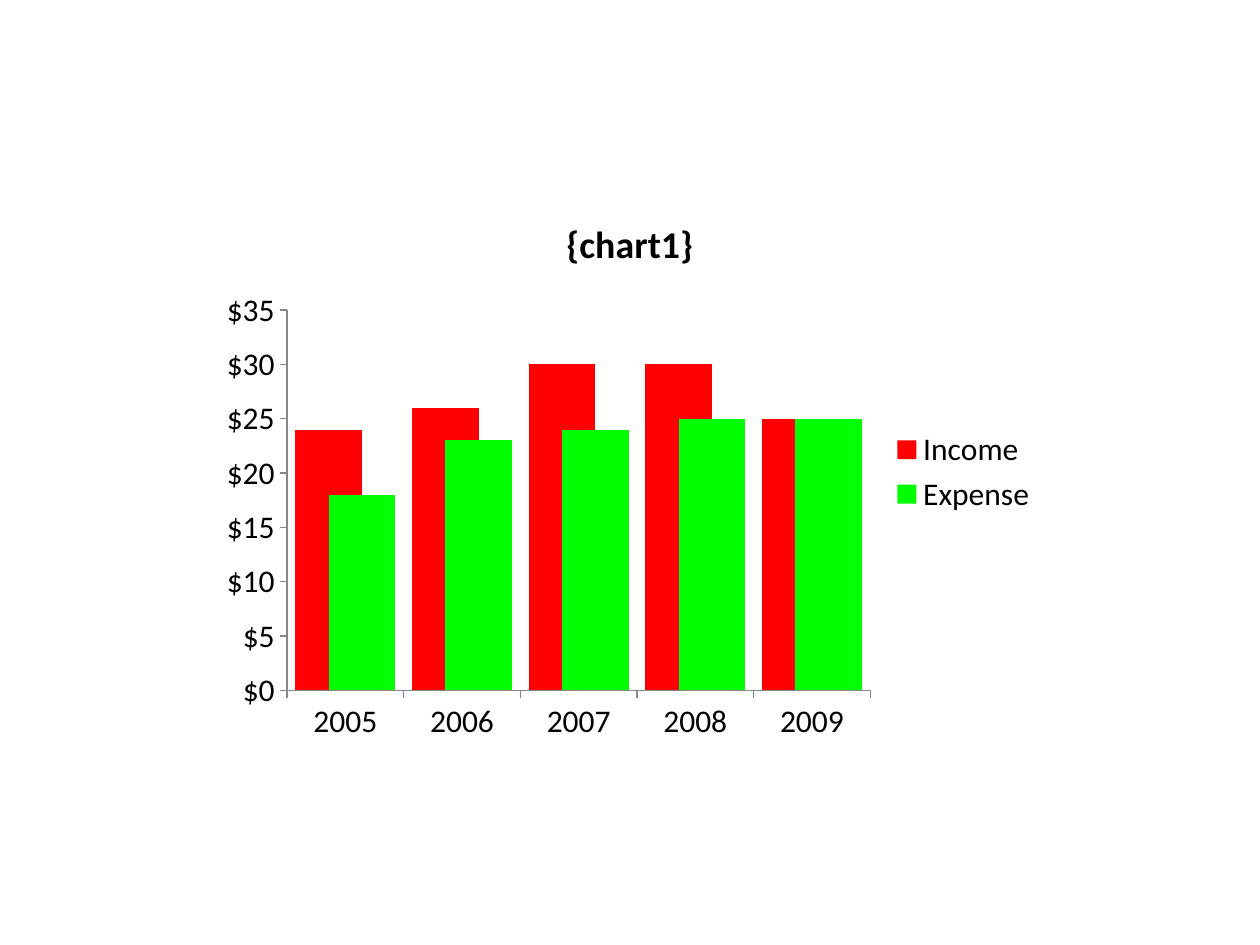
from pptx import Presentation
from pptx.chart.data import CategoryChartData
from pptx.dml.color import RGBColor
from pptx.enum.chart import XL_CHART_TYPE, XL_LEGEND_POSITION, XL_TICK_MARK
from pptx.util import Emu, Pt

COLUMNS = XL_CHART_TYPE.COLUMN_CLUSTERED
LEGEND_RIGHT = XL_LEGEND_POSITION.RIGHT
TICK_OUTSIDE = XL_TICK_MARK.OUTSIDE
TICK_NONE = XL_TICK_MARK.NONE

BLACK = RGBColor(0x00, 0x00, 0x00)
GRAY = RGBColor(0x86, 0x86, 0x86)
RED = RGBColor(0xFF, 0x00, 0x00)
GREEN = RGBColor(0x00, 0xFF, 0x00)
FONT = "Calibri"
EMU_PER_PX = 914400 / 126

YEARS = ["2005", "2006", "2007", "2008", "2009"]
SERIES = [
    ("Income", [24, 26, 30, 30, 25], RED),
    ("Expense", [18, 23, 24, 25, 25], GREEN),
]


def px(n):
    """Turn picture pixels into EMU."""
    return Emu(round(n * EMU_PER_PX))


def style_font(font, size, bold=False):
    """Set the common typeface and colour at the given size."""
    font.name = FONT
    font.size = Pt(size)
    font.bold = bold
    font.color.rgb = BLACK


def style_axis(axis):
    """Give an axis a thin grey line with outside ticks and no grid."""
    axis.has_major_gridlines = False
    axis.major_tick_mark = TICK_OUTSIDE
    axis.minor_tick_mark = TICK_NONE
    axis.format.line.color.rgb = GRAY
    axis.format.line.width = Pt(0.75)


def add_title(chart, text):
    """Add a bold title above the plot."""
    chart.has_title = True
    tf = chart.chart_title.text_frame
    tf.text = text
    style_font(tf.paragraphs[0].runs[0].font, 21.6, bold=True)
    chart.chart_title.include_in_layout = False


def add_legend(chart):
    """Add a legend to the right of the plot."""
    chart.has_legend = True
    chart.legend.position = LEGEND_RIGHT
    chart.legend.include_in_layout = False


def add_column_chart(s, x, y, w, h):
    """Add the overlapping income and expense columns."""
    data = CategoryChartData()
    data.categories = YEARS
    for name, values, _ in SERIES:
        data.add_series(name, values)
    chart = s.shapes.add_chart(COLUMNS, px(x), px(y), px(w), px(h), data).chart
    style_font(chart.font, 18)
    add_title(chart, "{chart1}")
    add_legend(chart)

    plot = chart.plots[0]
    plot.vary_by_categories = False
    plot.gap_width = 25
    plot.overlap = 50
    for series, (_, _, color) in zip(plot.series, SERIES):
        series.format.fill.solid()
        series.format.fill.fore_color.rgb = color
        series.invert_if_negative = False

    style_axis(chart.category_axis)
    value_axis = chart.value_axis
    style_axis(value_axis)
    value_axis.minimum_scale = 0
    value_axis.maximum_scale = 35
    value_axis.major_unit = 5
    value_axis.tick_labels.number_format = "\\$0"
    value_axis.tick_labels.number_format_is_linked = False


def main():
    """Build the slide and save it."""
    prs = Presentation()
    prs.slide_width, prs.slide_height = px(1260), px(945)
    s = prs.slides.add_slide(prs.slide_layouts[6])
    add_column_chart(s, 210, 192, 840, 560)
    prs.save("out.pptx")


main()
